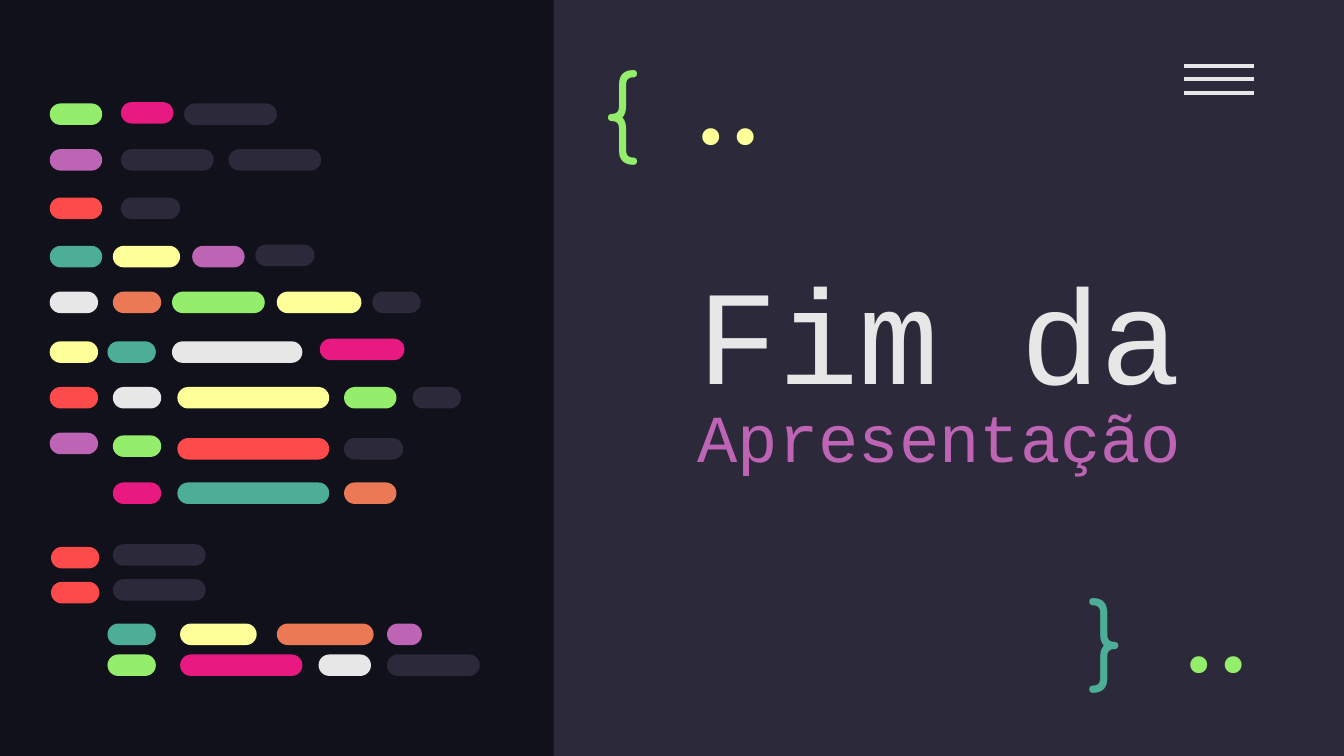
from lxml import etree
from pptx import Presentation
from pptx.dml.color import RGBColor
from pptx.enum.shapes import MSO_CONNECTOR, MSO_SHAPE
from pptx.enum.text import MSO_ANCHOR, MSO_AUTO_SIZE, PP_ALIGN
from pptx.oxml.ns import qn
from pptx.util import Inches, Pt

RECT, PILL = MSO_SHAPE.RECTANGLE, MSO_SHAPE.ROUNDED_RECTANGLE
STRAIGHT = MSO_CONNECTOR.STRAIGHT
TOP, MIDDLE = MSO_ANCHOR.TOP, MSO_ANCHOR.MIDDLE
LEFT, CENTER, RIGHT = PP_ALIGN.LEFT, PP_ALIGN.CENTER, PP_ALIGN.RIGHT
NO_FIT = MSO_AUTO_SIZE.NONE
TITLE_ONLY = 5

SLIDE_WIDTH = 10
SLIDE_HEIGHT = SLIDE_WIDTH * 9 / 16

NIGHT, SLATE, WHITE = "10111A", "2C293A", "E7E7E7"
GREEN, PINK, PURPLE, RED = "94EE6B", "E81A81", "BD64B5", "FD4A4A"
TEAL, YELLOW, ORANGE = "4CAE97", "FFFF99", "EC7955"

PILL_HEIGHT = 0.16
# Each code line: top, then its pills as (left, width, colour[, vertical nudge])
CODE_LINES = [
    (0.77, [(0.37, 0.39, GREEN), (0.9, 0.39, PINK, -0.01), (1.37, 0.69, SLATE)]),
    (1.11, [(0.37, 0.39, PURPLE), (0.9, 0.69, SLATE), (1.7, 0.69, SLATE)]),
    (1.47, [(0.37, 0.39, RED), (0.9, 0.44, SLATE)]),
    (1.83, [(0.37, 0.39, TEAL), (0.84, 0.5, YELLOW), (1.43, 0.39, PURPLE),
            (1.9, 0.44, SLATE, -0.01)]),
    (2.17, [(0.37, 0.36, WHITE), (0.84, 0.36, ORANGE), (1.28, 0.69, GREEN),
            (2.06, 0.63, YELLOW), (2.77, 0.36, SLATE)]),
    (2.54, [(0.37, 0.36, YELLOW), (0.8, 0.36, TEAL), (1.28, 0.97, WHITE),
            (2.38, 0.63, PINK, -0.02)]),
    (2.88, [(0.37, 0.36, RED), (0.84, 0.36, WHITE), (1.32, 1.13, YELLOW),
            (2.56, 0.39, GREEN), (3.07, 0.36, SLATE)]),
    (3.26, [(0.37, 0.36, PURPLE, -0.04), (0.84, 0.36, GREEN, -0.02),
            (1.32, 1.13, RED), (2.56, 0.44, SLATE)]),
    (3.59, [(0.84, 0.36, PINK), (1.32, 1.13, TEAL), (2.56, 0.39, ORANGE)]),
    (4.07, [(0.38, 0.36, RED), (0.84, 0.69, SLATE, -0.02)]),
    (4.33, [(0.38, 0.36, RED), (0.84, 0.69, SLATE, -0.02)]),
    (4.64, [(0.8, 0.36, TEAL), (1.34, 0.57, YELLOW), (2.06, 0.72, ORANGE),
            (2.88, 0.26, PURPLE)]),
    (4.87, [(0.8, 0.36, GREEN), (1.34, 0.91, PINK), (2.37, 0.39, WHITE),
            (2.88, 0.69, SLATE)]),
]


def color(hex_value):
    return RGBColor.from_string(hex_value)


def add_block(slide, kind, left, top, width, height, fill):
    block = slide.shapes.add_shape(
        kind, Inches(left), Inches(top), Inches(width), Inches(height))
    block.shadow.inherit = False
    block.fill.solid()
    block.fill.fore_color.rgb = color(fill)
    block.line.fill.background()
    return block


def set_frame(frame, anchor):
    frame.word_wrap = True
    frame.auto_size = NO_FIT
    frame.vertical_anchor = anchor
    frame.margin_left = frame.margin_right = Inches(0.1)
    frame.margin_top = frame.margin_bottom = Inches(0.1)


def style_run(run, font_name, size, hex_value):
    run.font.name = font_name
    run.font.size = Pt(size)
    run.font.color.rgb = color(hex_value)


def add_symbol(slide, text, box, font_name, hex_value, anchor, align):
    symbol = slide.shapes.add_textbox(*map(Inches, box))
    set_frame(symbol.text_frame, anchor)
    paragraph = symbol.text_frame.paragraphs[0]
    paragraph.text = text
    paragraph.alignment = align
    style_run(paragraph.runs[0], font_name, 50, hex_value)


def add_menu_icon(slide, left, top, width, gap):
    for row in range(3):
        y = Inches(top + row * gap)
        bar = slide.shapes.add_connector(
            STRAIGHT, Inches(left), y, Inches(left + width), y)
        bar.line.color.rgb = color(WHITE)
        bar.line.width = Pt(2.25)
        etree.SubElement(bar._element.spPr, qn("a:effectLst"))


def add_code_panel(slide, left, top):
    for line_top, pills in CODE_LINES:
        for pill_left, width, fill, *nudge in pills:
            pill = add_block(slide, PILL, left + pill_left,
                             top + line_top + sum(nudge), width, PILL_HEIGHT, fill)
            pill.adjustments[0] = 0.5


def add_closing_title(slide, left, top, width, height):
    title = slide.shapes.title
    title.left, title.top = Inches(left), Inches(top)
    title.width, title.height = Inches(width), Inches(height)
    set_frame(title.text_frame, MIDDLE)
    paragraph = title.text_frame.paragraphs[0]
    paragraph.alignment = CENTER
    paragraph.line_spacing = 0.8
    for text, size, hex_value in [("Fim da", 72, WHITE),
                                  (" Apresentação", 36, PURPLE)]:
        run = paragraph.add_run()
        run.text = text
        style_run(run, "Courier New", size, hex_value)


def add_closing_panel(slide, left, top, width, height):
    add_block(slide, RECT, left, top, width, height, SLATE)
    add_menu_icon(slide, left + 4.69, top + 0.49, 0.52, 0.1)
    add_closing_title(slide, left + 0.64, top + 1.43, 4.46, 2.77)
    # Braces
    add_symbol(slide, "{", (left + 0.27, top + 0.27, 0.77, 0.95),
               "Comfortaa", GREEN, TOP, LEFT)
    add_symbol(slide, "}", (left + 3.88, top + 4.2, 0.57, 0.83),
               "Comfortaa", TEAL, TOP, LEFT)
    # Dots
    for dots_left, dots_top, hex_value in [(4.39, 4.43, GREEN), (0.76, 0.5, YELLOW)]:
        add_symbol(slide, "..", (left + dots_left, top + dots_top, 1.07, 0.6),
                   "Fira Code", hex_value, MIDDLE, RIGHT)


def main():
    deck = Presentation()
    deck.slide_width, deck.slide_height = Inches(SLIDE_WIDTH), Inches(SLIDE_HEIGHT)
    slide = deck.slides.add_slide(deck.slide_layouts[TITLE_ONLY])
    slide.background.fill.solid()
    slide.background.fill.fore_color.rgb = color(NIGHT)

    add_closing_panel(slide, 4.12, 0, 5.88, SLIDE_HEIGHT)
    # The title placeholder is created first, so lift it above the panel
    title_element = slide.shapes.title._element
    title_element.getparent().append(title_element)
    add_code_panel(slide, 0, 0)
    deck.save("out.pptx")


if __name__ == "__main__":
    main()
